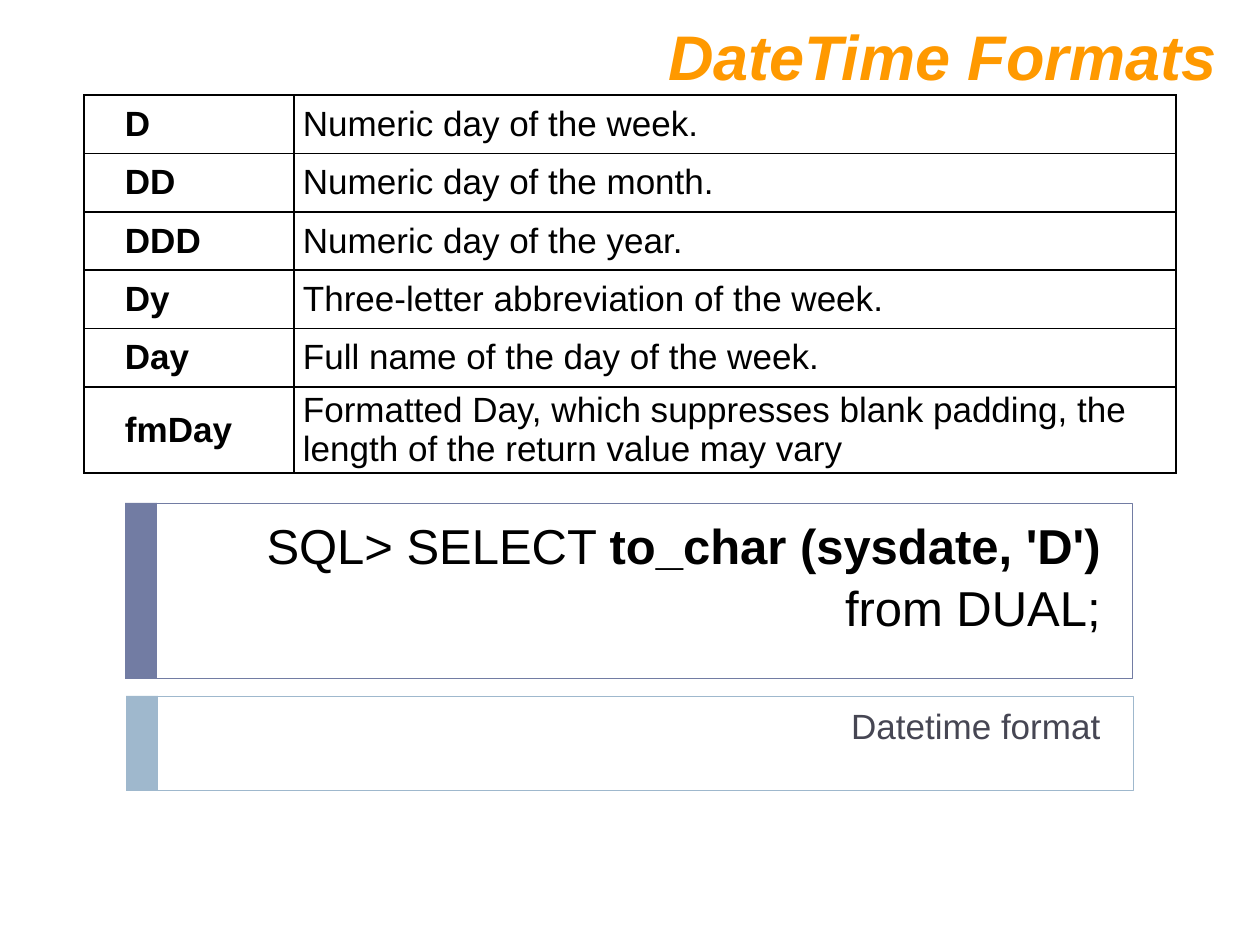
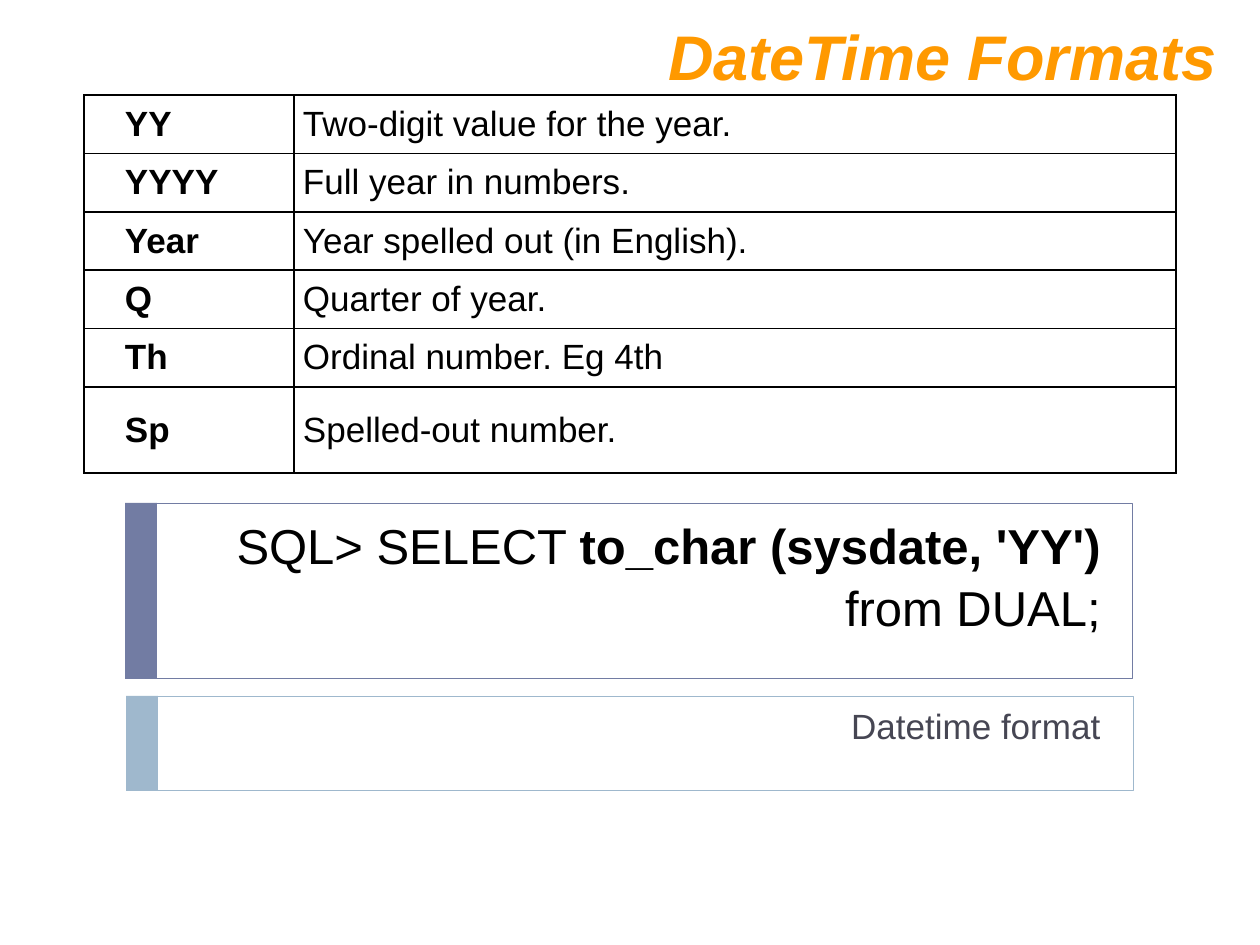
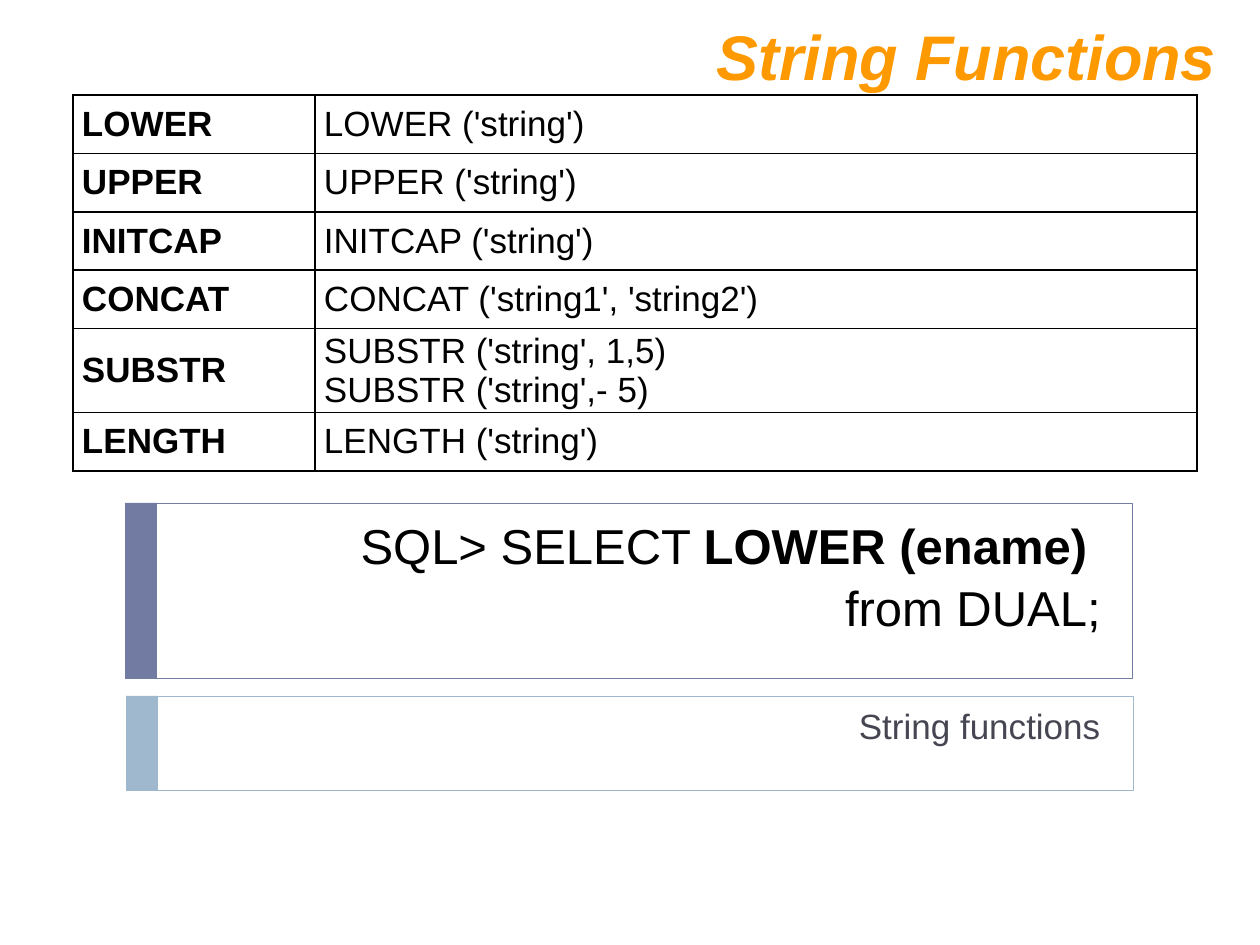
from lxml import etree
from pptx import Presentation
from pptx.dml.color import RGBColor
from pptx.enum.shapes import MSO_SHAPE
from pptx.enum.text import MSO_ANCHOR, PP_ALIGN
from pptx.oxml.ns import qn
from pptx.util import Pt

RECTANGLE = MSO_SHAPE.RECTANGLE
TOP, MIDDLE = MSO_ANCHOR.TOP, MSO_ANCHOR.MIDDLE
LEFT, RIGHT = PP_ALIGN.LEFT, PP_ALIGN.RIGHT

FONT = "Arial"
BLACK, ORANGE, SLATE = "000000", "FF9900", "464653"
INDIGO, SKY = "727CA3", "9FB8CD"

# Each frame: left, top, width, height, colour
FRAMES = [(125, 503, 1008, 176, INDIGO), (126, 696, 1008, 95, SKY)]
BAND_WIDTH = 32
TITLE_BOX = (32, 5, 1197, 89)
QUERY_BOX = (168, 504, 945, 136)
CAPTION_BOX = (168, 693, 945, 73)
TABLE_TOP = 95
DESCRIPTION_WIDTH = 882

DATE_TABLE = {"left": 84, "term_width": 210, "height": 378,
              "tall_row": 5, "tall_height": 86, "indent": 32}
STRING_TABLE = {"left": 73, "term_width": 242, "height": 376,
                "tall_row": 4, "tall_height": 84, "indent": 0}

SLIDES = [
    {
        "title": "DateTime Formats",
        "layout": DATE_TABLE,
        "rows": [
            ("D", "Numeric day of the week."),
            ("DD", "Numeric day of the month."),
            ("DDD", "Numeric day of the year."),
            ("Dy", "Three-letter abbreviation of the week."),
            ("Day", "Full name of the day of the week."),
            ("fmDay", "Formatted Day, which suppresses blank padding, "
                      "the length of the return value may vary"),
        ],
        "expression": "to_char (sysdate, 'D')",
        "caption": "Datetime format",
    },
    {
        "title": "DateTime Formats",
        "layout": DATE_TABLE,
        "rows": [
            ("YY", "Two-digit value for the year."),
            ("YYYY", "Full year in numbers."),
            ("Year", "Year spelled out (in English)."),
            ("Q", "Quarter of year."),
            ("Th", "Ordinal number. Eg 4th"),
            ("Sp", "Spelled-out number."),
        ],
        "expression": "to_char (sysdate, 'YY')",
        "caption": "Datetime format",
    },
    {
        "title": "String Functions",
        "layout": STRING_TABLE,
        "rows": [
            ("LOWER", "LOWER ('string')"),
            ("UPPER", "UPPER ('string')"),
            ("INITCAP", "INITCAP ('string')"),
            ("CONCAT", "CONCAT ('string1', 'string2')"),
            ("SUBSTR", "SUBSTR ('string', 1,5)\nSUBSTR ('string',- 5)"),
            ("LENGTH", "LENGTH ('string')"),
        ],
        "expression": "LOWER (ename) ",
        "caption": "String functions",
    },
]


def px(length):
    return round(length * 914400 / 126)


def rgb(color):
    return RGBColor.from_string(color)


def write(frame, text, size=20, color=BLACK, bold=False, italic=False,
          align=LEFT, spacing=1.0, indent=0):
    """Fill a frame; text is a string or a list of (text, bold), None breaking the line."""
    paragraphs = text.split("\n") if isinstance(text, str) else [text]
    for index, content in enumerate(paragraphs):
        paragraph = frame.paragraphs[0] if index == 0 else frame.add_paragraph()
        paragraph.alignment = align
        paragraph.line_spacing = spacing
        if indent:
            paragraph._p.get_or_add_pPr().set("indent", str(px(indent)))
        parts = [(content, bold)] if isinstance(content, str) else content
        for part in parts:
            if part is None:
                paragraph.add_line_break()
                continue
            run = paragraph.add_run()
            run.text, run.font.bold = part
            run.font.italic = italic
            run.font.name = FONT
            run.font.size = Pt(size)
            run.font.color.rgb = rgb(color)


def add_text(slide, box, text, **text_format):
    frame = slide.shapes.add_textbox(*map(px, box)).text_frame
    frame.word_wrap = True
    frame.vertical_anchor = TOP
    frame.margin_top = px(9)
    write(frame, text, align=RIGHT, spacing=1.05, **text_format)


def add_rectangle(slide, box, fill=None, line=None):
    rectangle = slide.shapes.add_shape(RECTANGLE, *map(px, box))
    rectangle.shadow.inherit = False
    if fill:
        rectangle.fill.solid()
        rectangle.fill.fore_color.rgb = rgb(fill)
    else:
        rectangle.fill.background()
    if line:
        rectangle.line.color.rgb = rgb(line)
        rectangle.line.width = Pt(0.5)
    else:
        rectangle.line.fill.background()


def add_frames(slide):
    for *box, color in FRAMES:
        add_rectangle(slide, box, line=color)
    for left, top, _, height, color in FRAMES:
        add_rectangle(slide, (left, top, BAND_WIDTH, height), fill=color)


def add_borders(cell):
    properties = cell._tc.get_or_add_tcPr()
    for side in ("lnL", "lnR", "lnT", "lnB"):
        border = etree.SubElement(properties, qn(f"a:{side}"), w=str(Pt(1)))
        fill = etree.SubElement(border, qn("a:solidFill"))
        etree.SubElement(fill, qn("a:srgbClr"), val=BLACK)


def add_glossary(slide, rows, layout):
    widths = (layout["term_width"], DESCRIPTION_WIDTH)
    box = (layout["left"], TABLE_TOP, sum(widths), layout["height"])
    table = slide.shapes.add_table(len(rows), len(widths), *map(px, box)).table
    table.first_row = table.horz_banding = False
    for column, width in zip(table.columns, widths):
        column.width = px(width)
    row_height = (layout["height"] - layout["tall_height"]) / (len(rows) - 1)
    for r, row in enumerate(rows):
        tall = r == layout["tall_row"]
        table.rows[r].height = px(layout["tall_height"] if tall else row_height)
        for c, text in enumerate(row):
            is_term = c == 0
            cell = table.cell(r, c)
            cell.margin_left = cell.margin_right = px(9)
            cell.margin_top = cell.margin_bottom = 0
            cell.vertical_anchor = MIDDLE
            add_borders(cell)
            cell.fill.background()
            write(cell.text_frame, text, bold=is_term,
                  indent=layout["indent"] if is_term else 0)


def main():
    deck = Presentation()
    deck.slide_width, deck.slide_height = px(1260), px(945)
    for content in SLIDES:
        slide = deck.slides.add_slide(deck.slide_layouts[6])
        add_frames(slide)
        query = [("SQL> SELECT ", False), (content["expression"], True),
                 None, ("from DUAL;", False)]
        add_text(slide, QUERY_BOX, query, size=28)
        add_text(slide, CAPTION_BOX, content["caption"], color=SLATE)
        add_text(slide, TITLE_BOX, content["title"], size=36, color=ORANGE,
                 bold=True, italic=True)
        add_glossary(slide, content["rows"], content["layout"])
    deck.save("out.pptx")


if __name__ == "__main__":
    main()
